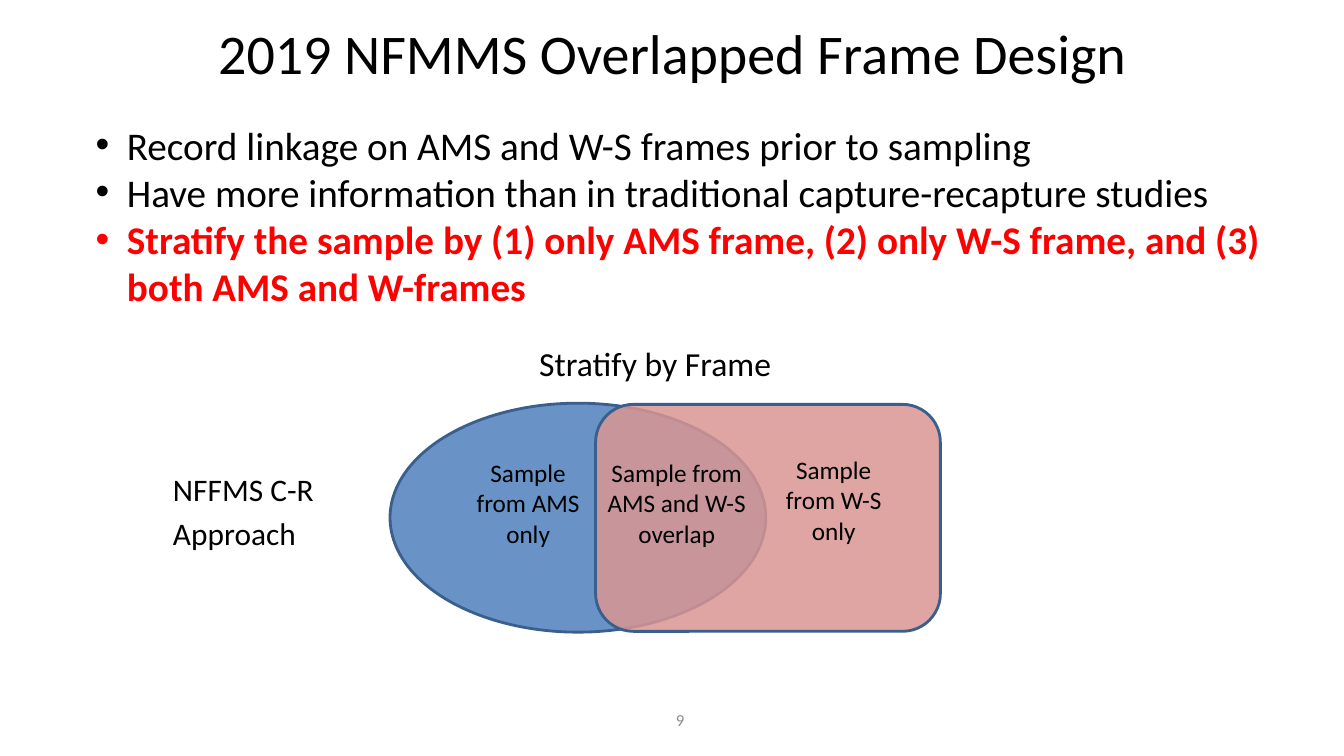
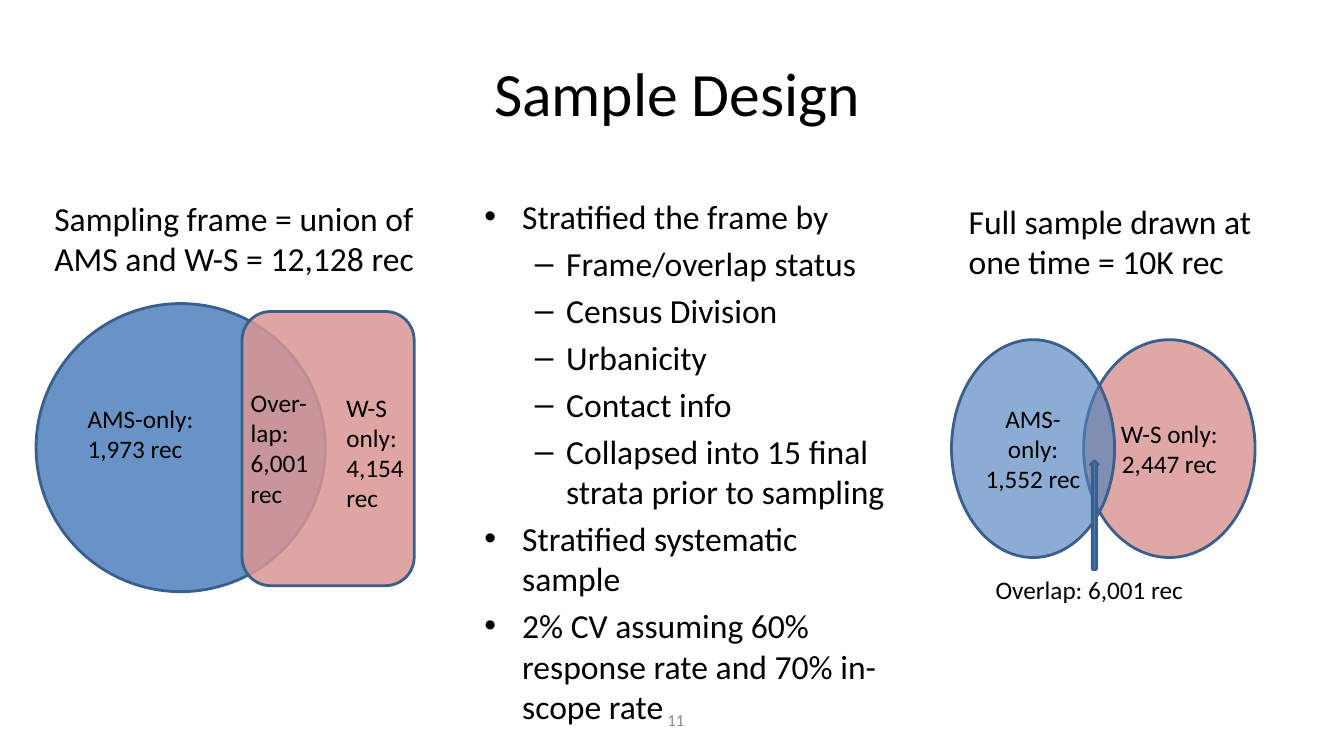
from dataclasses import dataclass
from typing import Optional

from lxml import etree
from pptx import Presentation
from pptx.dml.color import RGBColor
from pptx.enum.shapes import MSO_SHAPE
from pptx.enum.text import MSO_ANCHOR, PP_ALIGN
from pptx.oxml.ns import qn
from pptx.util import Cm, Pt

LEFT, CENTER, RIGHT = PP_ALIGN.LEFT, PP_ALIGN.CENTER, PP_ALIGN.RIGHT
TOP, MIDDLE = MSO_ANCHOR.TOP, MSO_ANCHOR.MIDDLE
ELLIPSE, ROUNDED = MSO_SHAPE.OVAL, MSO_SHAPE.ROUNDED_RECTANGLE
UP_ARROW = MSO_SHAPE.UP_ARROW

BLACK = RGBColor(0x00, 0x00, 0x00)
RED = RGBColor(0xFF, 0x00, 0x00)
GRAY = RGBColor(0x8C, 0x8C, 0x8C)
BLUE = RGBColor(0x4F, 0x81, 0xBD)
PINK = RGBColor(0xD9, 0x96, 0x94)
OUTLINE = RGBColor(0x3A, 0x5F, 0x8C)

FONT = "Calibri"
BLANK_LAYOUT = 6
LABEL_SIZE = 18
HEADING_SIZE = 24
SPACE_RATIO = 0.2


@dataclass(frozen=True)
class Area:
    left: float
    top: float
    width: float
    height: float

    def lengths(self) -> tuple:
        return Cm(self.left), Cm(self.top), Cm(self.width), Cm(self.height)


@dataclass(frozen=True)
class Bullet:
    char: str
    margin: float
    hanging: float
    level: int = 0


@dataclass(frozen=True)
class Line:
    text: str
    bullet: Optional[Bullet] = None
    color: RGBColor = BLACK
    bold: bool = False


@dataclass(frozen=True)
class Style:
    size: float = LABEL_SIZE
    align: PP_ALIGN = LEFT
    anchor: MSO_ANCHOR = TOP
    spaced: bool = False


@dataclass(frozen=True)
class TextBlock:
    area: Area
    lines: tuple
    style: Style = Style()


@dataclass(frozen=True)
class Region:
    kind: MSO_SHAPE
    area: Area
    fill: RGBColor
    opacity: int = 85
    text: str = ""


LABEL = Style()
CENTERED_LABEL = Style(align=CENTER)
REGION_LABEL = Style(align=CENTER, anchor=MIDDLE)
HEADING = Style(HEADING_SIZE)
OUTLINE_LIST = Style(HEADING_SIZE, spaced=True)
NUMBER = Style(12, RIGHT, MIDDLE)

POINT = Bullet("•", 0.79, 0.79)
MAIN_ITEM = Bullet("•", 0.95, 0.95)
SUB_ITEM = Bullet("–", 2.06, 0.79, 1)

NUMBER_AREA = Area(9.6, 17.63, 7.9, 1.02)

FRAME_TEXTS = (
    TextBlock(
        Area(4.11, 11.73, 8.48, 2.16),
        (Line("NFFMS C-R"), Line("Approach")),
        Style(22.4, spaced=True),
    ),
    TextBlock(
        Area(2.16, 2.92, 30.33, 5.05),
        (
            Line("Record linkage on AMS and W-S frames prior to sampling", POINT),
            Line("Have more information than in traditional capture-recapture studies", POINT),
            Line(
                "Stratify the sample by (1) only AMS frame, (2) only W-S frame, "
                "and (3) both AMS and W-frames",
                POINT, RED, True,
            ),
        ),
        Style(28),
    ),
)
FRAME_REGIONS = (
    Region(ELLIPSE, Area(9.83, 10.16, 9.47, 5.77), BLUE),
    Region(ROUNDED, Area(15.01, 10.19, 8.69, 5.72), PINK),
)
FRAME_LABELS = (
    TextBlock(Area(15.01, 11.4, 4.09, 3.18),
              (Line("Sample from AMS and W-S overlap"),), CENTERED_LABEL),
    TextBlock(Area(11.76, 11.4, 3.1, 2.57),
              (Line("Sample from AMS only"),), CENTERED_LABEL),
    TextBlock(Area(19.46, 11.33, 3.1, 2.57),
              (Line("Sample from W-S only"),), CENTERED_LABEL),
    TextBlock(Area(13.34, 8.51, 8.23, 1.85), (Line("Stratify by Frame"),), HEADING),
)

SUB_ITEMS = (
    "Frame/overlap status",
    "Census Division",
    "Urbanicity",
    "Contact info",
    "Collapsed into 15 final strata prior to sampling",
)
SAMPLE_TEXTS = (
    TextBlock(
        Area(11.96, 4.8, 10.87, 12.7),
        (
            Line("Stratified the frame by", MAIN_ITEM),
            *(Line(text, SUB_ITEM) for text in SUB_ITEMS),
            Line("Stratified systematic sample", MAIN_ITEM),
            Line("2% CV assuming 60% response rate and 70% in-scope rate", MAIN_ITEM),
        ),
        OUTLINE_LIST,
    ),
    TextBlock(Area(1.12, 4.85, 10.11, 2.31),
              (Line("Sampling frame = union of AMS and W-S = 12,128 rec"),), HEADING),
    TextBlock(Area(24.16, 4.93, 7.82, 2.31),
              (Line("Full sample drawn at one time = 10K rec"),), HEADING),
)
SAMPLE_REGIONS = (
    Region(ELLIPSE, Area(0.91, 7.65, 7.29, 7.26), BLUE),
    Region(ROUNDED, Area(6.1, 7.85, 4.34, 6.91), PINK),
    Region(ELLIPSE, Area(27.31, 8.56, 4.32, 5.49), PINK, 83, "W-S only: 2,447 rec"),
    Region(ELLIPSE, Area(23.98, 8.56, 4.11, 5.49), BLUE, 65, "AMS-only: 1,552 rec"),
    Region(UP_ARROW, Area(27.48, 11.61, 0.2, 2.74), BLUE, 100),
)
SAMPLE_LABELS = (
    TextBlock(Area(6.07, 9.63, 1.98, 3.33), (Line("Over-lap: 6,001 rec"),), LABEL),
    TextBlock(Area(1.96, 10.03, 3.3, 1.8), (Line("AMS-only: 1,973 rec"),), LABEL),
    TextBlock(Area(8.48, 9.75, 2.77, 3.33), (Line("W-S only: 4,154 rec"),), LABEL),
    TextBlock(Area(24.84, 14.35, 5.51, 1.02), (Line("Overlap: 6,001 rec"),), LABEL),
)


def add_bullet(para, bullet: Bullet, color: RGBColor) -> None:
    para.level = bullet.level
    properties = para._p.get_or_add_pPr()
    properties.set("marL", str(Cm(bullet.margin)))
    properties.set("indent", str(-Cm(bullet.hanging)))
    bullet_color = etree.SubElement(properties, qn("a:buClr"))
    etree.SubElement(bullet_color, qn("a:srgbClr"), val=str(color))
    etree.SubElement(properties, qn("a:buFont"), typeface="Arial")
    etree.SubElement(properties, qn("a:buChar"), char=bullet.char)


def write_lines(frame, lines: tuple, style: Style) -> None:
    frame.word_wrap = True
    frame.vertical_anchor = style.anchor
    for index, line in enumerate(lines):
        para = frame.add_paragraph() if index else frame.paragraphs[0]
        para.text = line.text
        para.alignment = style.align
        if index and style.spaced:
            para.space_before = Pt(round(style.size * SPACE_RATIO, 1))
        if line.bullet:
            add_bullet(para, line.bullet, line.color)
        para.font.name = FONT
        para.font.size = Pt(style.size)
        para.font.bold = line.bold
        para.font.color.rgb = line.color


def add_text(page, block: TextBlock) -> None:
    box = page.shapes.add_textbox(*block.area.lengths())
    write_lines(box.text_frame, block.lines, block.style)


def add_region(page, region: Region) -> None:
    shape = page.shapes.add_shape(region.kind, *region.area.lengths())
    shape.shadow.inherit = False
    shape.fill.solid()
    shape.fill.fore_color.rgb = region.fill
    if region.opacity < 100:
        color = shape.element.spPr.find(qn("a:solidFill"))[0]
        etree.SubElement(color, qn("a:alpha"), val=str(region.opacity * 1000))
    shape.line.color.rgb = OUTLINE
    shape.line.width = Pt(2)
    if region.text:
        write_lines(shape.text_frame, (Line(region.text),), REGION_LABEL)


def add_page(deck, title: TextBlock, number: str,
             texts: tuple, regions: tuple, labels: tuple) -> None:
    page = deck.slides.add_slide(deck.slide_layouts[BLANK_LAYOUT])
    add_text(page, title)
    for block in texts:
        add_text(page, block)
    add_text(page, TextBlock(NUMBER_AREA, (Line(number, color=GRAY),), NUMBER))
    for region in regions:
        add_region(page, region)
    for block in labels:
        add_text(page, block)


def title_block(text: str, area: Area, size: float) -> TextBlock:
    return TextBlock(area, (Line(text),), Style(size, CENTER, MIDDLE))


def main() -> None:
    deck = Presentation()
    deck.slide_width = Cm(33.87)
    deck.slide_height = Cm(19.05)
    frame_title = title_block(
        "2019 NFMMS Overlapped Frame Design", Area(2.69, 0.1, 28.5, 2.44), 40)
    sample_title = title_block("Sample Design", Area(2.82, 0.84, 28.5, 2.97), 44)
    add_page(deck, frame_title, "9", FRAME_TEXTS, FRAME_REGIONS, FRAME_LABELS)
    add_page(deck, sample_title, "11", SAMPLE_TEXTS, SAMPLE_REGIONS, SAMPLE_LABELS)
    deck.save("out.pptx")


if __name__ == "__main__":
    main()
